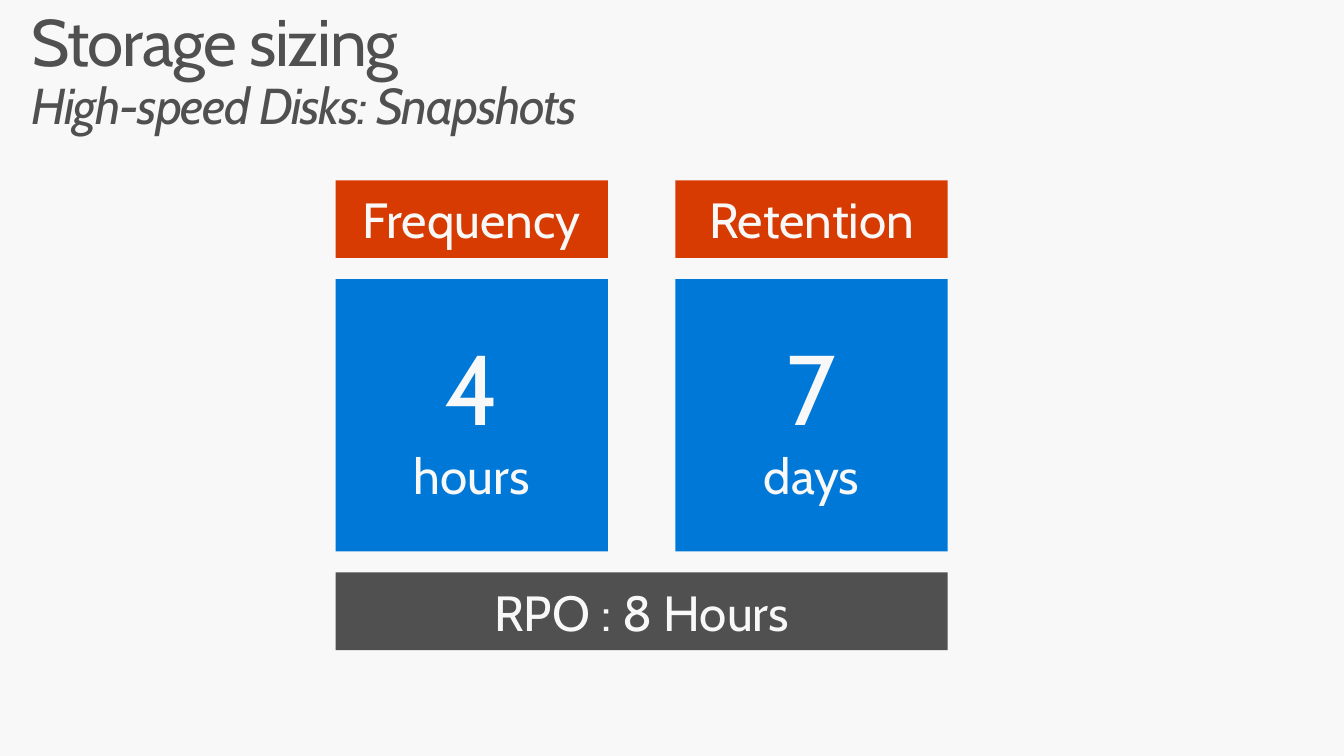
from pptx import Presentation
from pptx.dml.color import RGBColor
from pptx.enum.shapes import MSO_SHAPE
from pptx.enum.text import MSO_ANCHOR, MSO_AUTO_SIZE, PP_ALIGN
from pptx.util import Inches, Pt

RECTANGLE = MSO_SHAPE.RECTANGLE
TOP, MIDDLE = MSO_ANCHOR.TOP, MSO_ANCHOR.MIDDLE
LEFT, CENTER = PP_ALIGN.LEFT, PP_ALIGN.CENTER
NO_AUTOFIT = MSO_AUTO_SIZE.NONE

PAPER = RGBColor(0xF8, 0xF8, 0xF8)
GRAY = RGBColor(0x50, 0x50, 0x50)
BLUE = RGBColor(0x00, 0x78, 0xD7)
ORANGE = RGBColor(0xD8, 0x3B, 0x01)
FONT = "Cabin"
LARGE, NORMAL = 70.6, 35.3

TILE = 2.7
BAR_HEIGHT = 0.77
COLUMN_LEFT, COLUMN_STEP = 3.33, 3.37
HEADER_TOP, ROW_GAP = 1.79, 0.21
TILE_TOP = HEADER_TOP + BAR_HEIGHT + ROW_GAP
FOOTER_TOP = TILE_TOP + TILE + ROW_GAP


def style_run(span, size, color):
    span.font.name = FONT
    span.font.size = Pt(size)
    span.font.color.rgb = color


def add_block(left, top, width, height, fill, lines):
    box = page.shapes.add_shape(
        RECTANGLE, Inches(left), Inches(top), Inches(width), Inches(height))
    box.shadow.inherit = False
    box.fill.solid()
    box.fill.fore_color.rgb = fill
    box.line.fill.background()
    frame = box.text_frame
    frame.word_wrap = True
    frame.vertical_anchor = MIDDLE
    frame.margin_left = frame.margin_right = 0
    frame.text = "\n".join(text for text, size in lines)
    for para, (text, size) in zip(frame.paragraphs, lines):
        para.alignment = CENTER
        style_run(para.runs[0], size, PAPER)


deck = Presentation()
deck.slide_width, deck.slide_height = Inches(13.33), Inches(7.5)
page = deck.slides.add_slide(deck.slide_layouts[5])
page.background.fill.solid()
page.background.fill.fore_color.rgb = PAPER

title = page.shapes.title
title.left, title.top = Inches(0.15), 0
title.width, title.height = Inches(12.75), Inches(0.98)
frame = title.text_frame
frame.auto_size = NO_AUTOFIT
frame.word_wrap = True
frame.vertical_anchor = TOP
frame.margin_left = frame.margin_right = Inches(0.16)
frame.margin_top = frame.margin_bottom = Inches(0.1)
heading = frame.paragraphs[0]
heading.text = "Storage sizing\vHigh-speed Disks: Snapshots"
heading.alignment = LEFT
heading.line_spacing = 0.9
for span, size in zip(heading.runs, (47, 36)):
    style_run(span, size, GRAY)
    span.font._element.set("spc", "-100")
heading.runs[1].font.italic = True

metrics = [("Frequency", "4", "hours"), ("Retention", "7", "days")]
for column, (name, value, unit) in enumerate(metrics):
    left = COLUMN_LEFT + column * COLUMN_STEP
    add_block(left, HEADER_TOP, TILE, BAR_HEIGHT, ORANGE, [(name, NORMAL)])
    add_block(left, TILE_TOP, TILE, TILE, BLUE, [(value, LARGE), (unit, NORMAL)])

add_block(COLUMN_LEFT, FOOTER_TOP, COLUMN_STEP + TILE, BAR_HEIGHT, GRAY,
          [("RPO : 8 Hours", NORMAL)])

deck.save("out.pptx")
